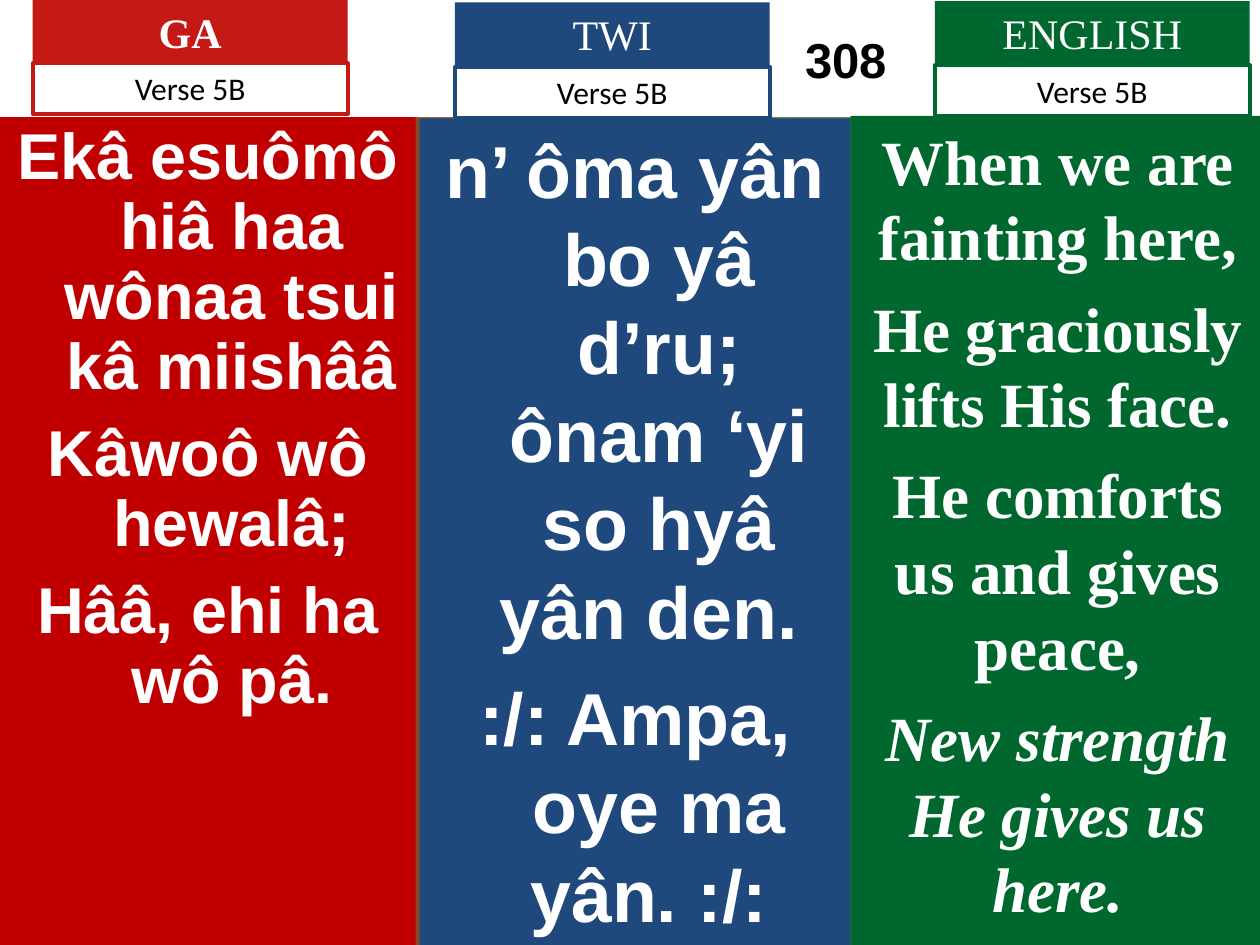
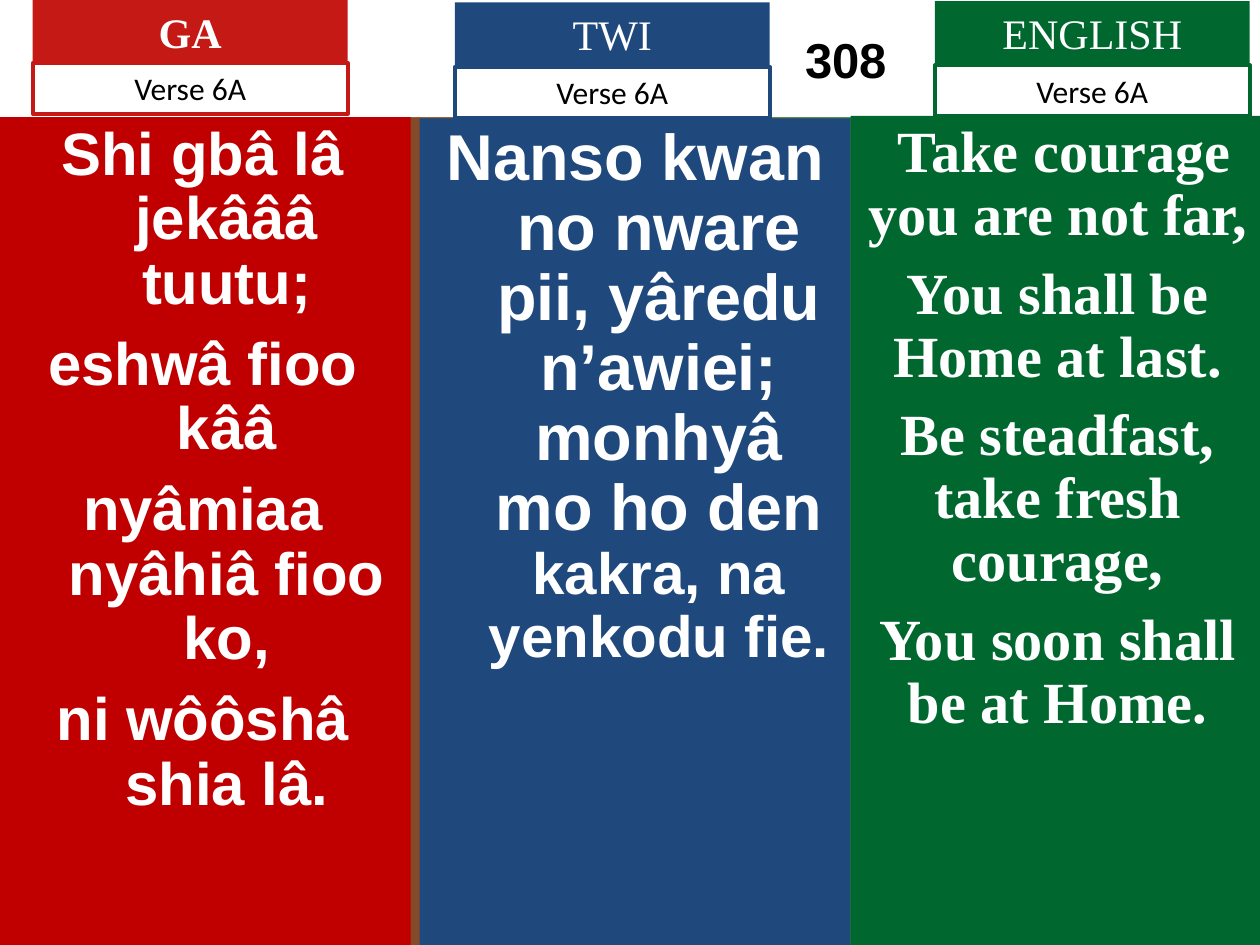
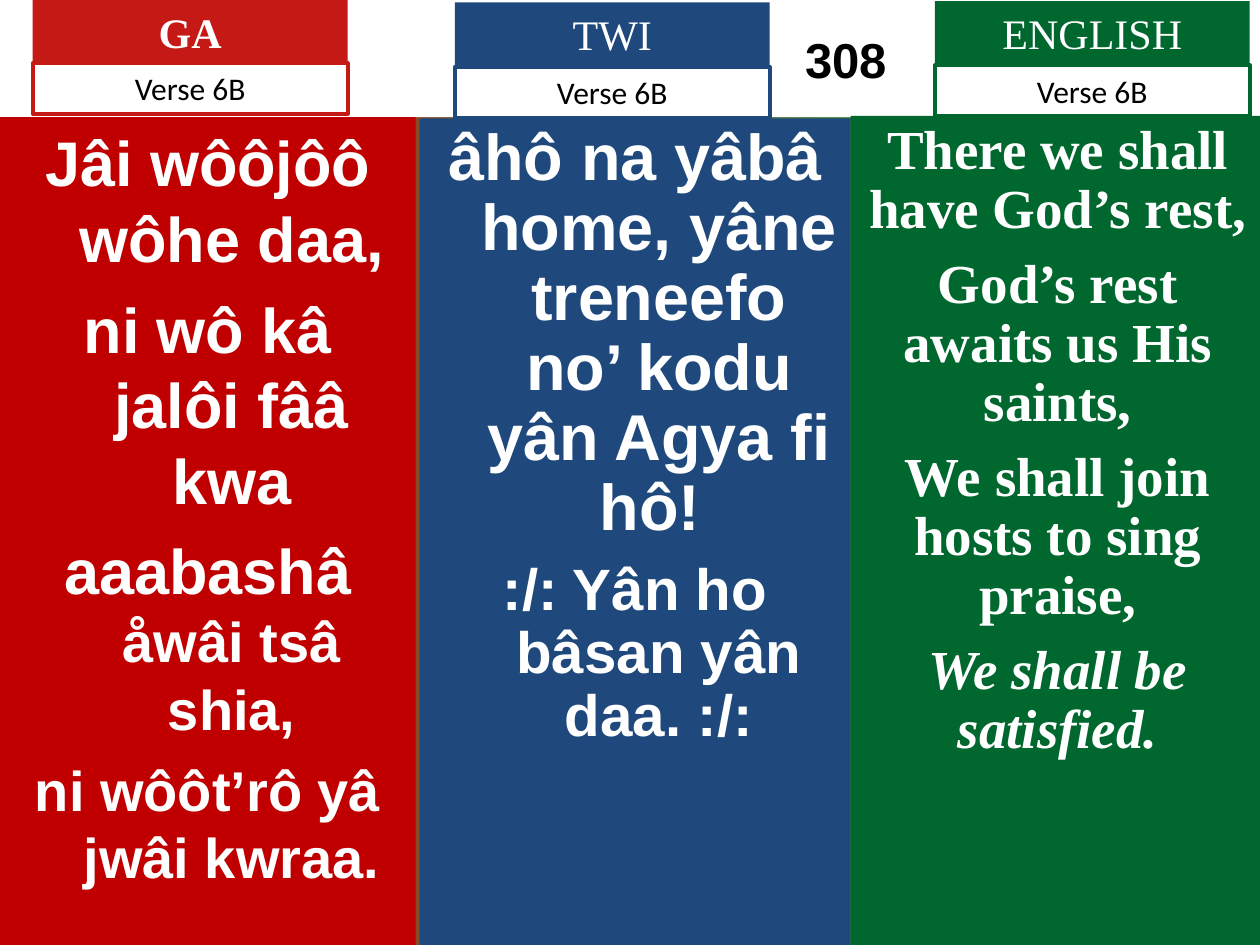
from dataclasses import dataclass

from pptx import Presentation
from pptx import util as u
from pptx.dml.color import RGBColor
from pptx.enum import shapes, text

Pt = u.Pt

WHITE = RGBColor(0xFF, 0xFF, 0xFF)
BLACK = RGBColor(0x00, 0x00, 0x00)
RED = RGBColor(0xC5, 0x19, 0x15)
DARK_RED = RGBColor(0xC0, 0x00, 0x00)
BLUE = RGBColor(0x1F, 0x49, 0x7D)
GREEN = RGBColor(0x00, 0x68, 0x2F)
BRIGHT_GREEN = RGBColor(0x00, 0xB0, 0x50)

SLIDE_WIDTH, SLIDE_HEIGHT = 720, 540
BAND_HEIGHT = 67
HEADER_WIDTH, HEADER_HEIGHT = 180, 36
LABEL_HEIGHT = 29
HANGING_INDENT = 27.36
HYMN_NUMBER = "308"


@dataclass
class Column:
    """One language: its heading, verse label and lyrics panel."""
    name: str
    color: RGBColor
    panel_color: RGBColor
    header_left: float
    header_top: float
    label_top: float
    panel_left: float
    panel_top: float
    panel_width: float
    font: str
    hanging: bool = True
    bold_name: bool = False


@dataclass
class Run:
    words: str
    size: float = 0
    italic: bool = False


@dataclass
class Lyrics:
    """Lines are strings or lists of runs; a run without a size takes the common one."""
    size: float
    line_spacing: float
    lines: list
    shift: float = 0


GA = Column("GA", RED, DARK_RED, 18.7, 0, 36, 0, 67, 237.6, "Arial", bold_name=True)
TWI = Column("TWI", BLUE, BLUE, 259.9, 1.4, 38.2, 239.8, 67.7, 246.2, "Arial")
ENGLISH = Column("ENGLISH", GREEN, GREEN, 534.2, 0.7, 37.4, 486, 66.2, 236.9,
                 "Times New Roman", hanging=False)

VERSES = {
    "Verse 5B": (
        Lyrics(37, 0.9, ["Ekâ esuômô hiâ haa wônaa tsui kâ miishââ",
                         "Kâwoô wô hewalâ;",
                         "Hââ, ehi ha wô pâ."]),
        Lyrics(42, 1, ["n’ ôma yân bo yâ d’ru; ônam ‘yi so hyâ yân den. ",
                       ":/: Ampa, oye ma yân. :/: "]),
        Lyrics(36, 1, ["When we are fainting here,",
                       "He graciously lifts His face.",
                       "He comforts us and gives peace,",
                       [Run("New strength He gives us here.", italic=True)]]),
    ),
    "Verse 6A": (
        Lyrics(34.2, 0.9, ["Shi gbâ lâ jekâââ tuutu;",
                           "eshwâ fioo kââ",
                           "nyâmiaa nyâhiâ fioo ko,",
                           "ni wôôshâ shia lâ."], shift=-2.9),
        Lyrics(37, 0.9, [[Run("Nanso kwan no nware pii, yâredu n’awiei; monhyâ mo ho den "),
                          Run("kakra, na yenkodu fie.", 33.3)]]),
        Lyrics(33.3, 0.9, [" Take courage you are not far,",
                           "You shall be Home at last.",
                           "Be steadfast, take fresh courage,",
                           "You soon shall be at Home."]),
    ),
    "Verse 6B": (
        Lyrics(36, 1, ["Jâi wôôjôô wôhe daa,",
                       "ni wô kâ jalôi fââ kwa",
                       [Run("aaabashâ "), Run("åwâi tsâ shia,", 32)],
                       [Run("ni wôôt’rô yâ jwâi kwraa.", 32)]]),
        Lyrics(37, 0.9, ["âhô na yâbâ home, yâne treneefo no’ kodu yân Agya fi hô! ",
                         [Run(":/: Yân ho bâsan yân daa. :/:", 33.3)]]),
        Lyrics(31.4, 0.9, ["There we shall have God’s rest,",
                           "God’s rest awaits us His saints,",
                           "We shall join hosts to sing praise,",
                           [Run("We shall be satisfied.", italic=True)]]),
    ),
}


class HymnDeck:
    def __init__(self):
        self.presentation = Presentation()
        self.presentation.slide_width = Pt(SLIDE_WIDTH)
        self.presentation.slide_height = Pt(SLIDE_HEIGHT)
        self.slide = None

    def add_slide(self):
        self.slide = self.presentation.slides.add_slide(self.presentation.slide_layouts[6])
        fill = self.slide.background.fill
        fill.gradient()
        fill.gradient_angle = 0
        for stop, color in zip(fill.gradient_stops, (RED, BRIGHT_GREEN)):
            stop.color.rgb = color

    def box(self, left, top, width, height, fill=None, line=None):
        shape = self.slide.shapes.add_shape(
            shapes.MSO_SHAPE.RECTANGLE, Pt(left), Pt(top), Pt(width), Pt(height))
        shape.shadow.inherit = False
        if fill is None:
            shape.fill.background()
        else:
            shape.fill.solid()
            shape.fill.fore_color.rgb = fill
        if line is None:
            shape.line.fill.background()
        else:
            shape.line.color.rgb = line
            shape.line.width = Pt(2.25)
        shape.text_frame.word_wrap = True
        shape.text_frame.vertical_anchor = text.MSO_ANCHOR.TOP
        shape.text_frame.paragraphs[0].alignment = text.PP_ALIGN.CENTER
        return shape

    def add_text(self, paragraph, words, font, size, color=WHITE, bold=False, italic=False):
        run = paragraph.add_run()
        run.text = words
        run.font.name = font
        run.font.size = Pt(size)
        run.font.color.rgb = color
        run.font.bold = bold
        run.font.italic = italic

    def number_band(self):
        """White band; the left margin centres the number between two headings."""
        frame = self.box(0, 0, SLIDE_WIDTH, BAND_HEIGHT, WHITE).text_frame
        frame.margin_left = Pt(254)
        frame.vertical_anchor = text.MSO_ANCHOR.MIDDLE
        self.add_text(frame.paragraphs[0], HYMN_NUMBER, "Arial", 28, BLACK, bold=True)

    def panel(self, column, lyrics):
        frame = self.box(column.panel_left + lyrics.shift, column.panel_top, column.panel_width,
                         SLIDE_HEIGHT - column.panel_top, column.panel_color).text_frame
        space_ratio = 0.25 if lyrics.line_spacing == 1 else 0.27
        for index, line in enumerate(lyrics.lines):
            runs = [Run(line)] if isinstance(line, str) else line
            paragraph = frame.add_paragraph() if index else frame.paragraphs[0]
            paragraph.alignment = text.PP_ALIGN.CENTER
            paragraph.line_spacing = lyrics.line_spacing
            if index:
                paragraph.space_before = Pt(round(space_ratio * (runs[-1].size or lyrics.size), 1))
            if column.hanging:
                properties = paragraph._p.get_or_add_pPr()
                properties.set("marL", str(Pt(HANGING_INDENT)))
                properties.set("indent", str(-Pt(HANGING_INDENT)))
            for run in runs:
                self.add_text(paragraph, run.words, column.font, run.size or lyrics.size,
                              bold=True, italic=run.italic)

    def heading(self, column, verse):
        header = self.box(column.header_left, column.header_top,
                          HEADER_WIDTH, HEADER_HEIGHT, column.color)
        self.add_text(header.text_frame.paragraphs[0], column.name, "Times New Roman", 24,
                      bold=column.bold_name)
        label = self.box(column.header_left, column.label_top,
                         HEADER_WIDTH, LABEL_HEIGHT, line=column.color)
        self.add_text(label.text_frame.paragraphs[0], verse, "Calibri", 18, BLACK)


def main():
    deck = HymnDeck()
    columns = (GA, TWI, ENGLISH)
    for verse, verse_lyrics in VERSES.items():
        deck.add_slide()
        deck.number_band()
        for column, lyrics in zip(columns, verse_lyrics):
            deck.panel(column, lyrics)
        for column in columns:
            deck.heading(column, verse)
    deck.presentation.save("out.pptx")


if __name__ == "__main__":
    main()
